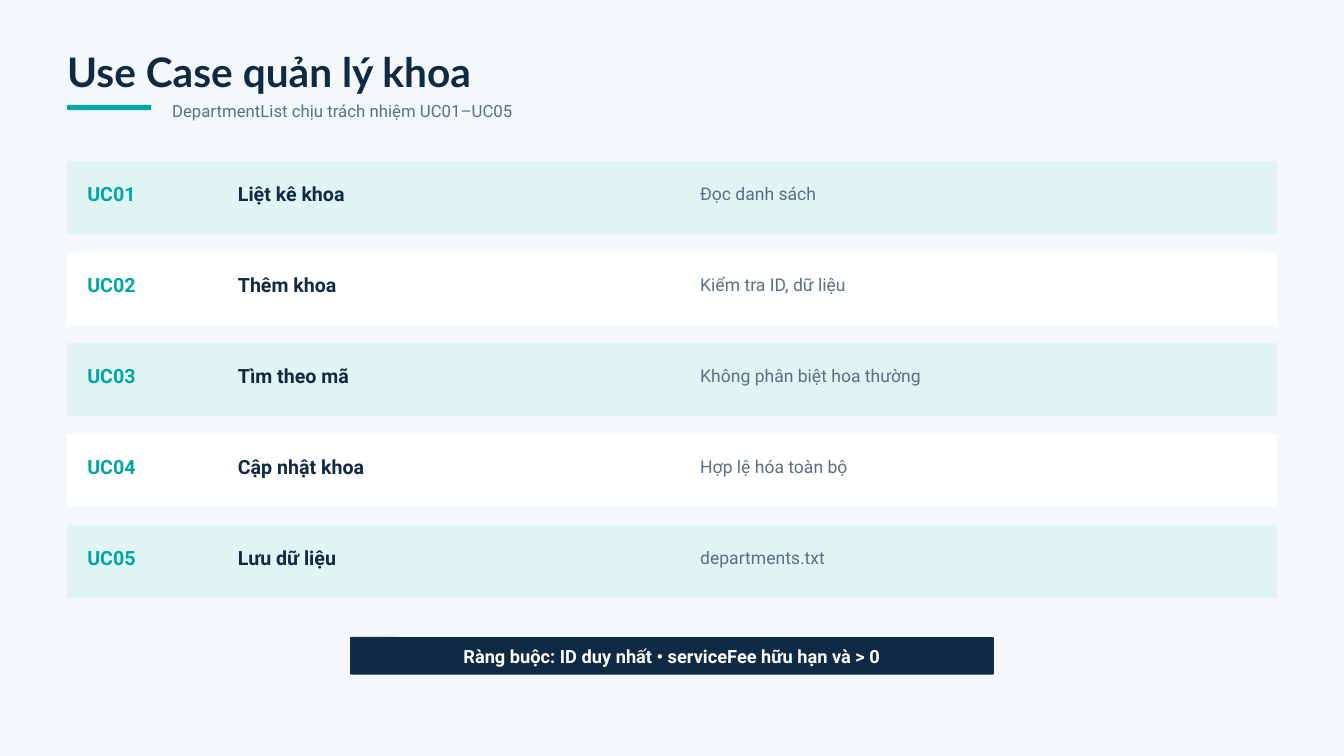
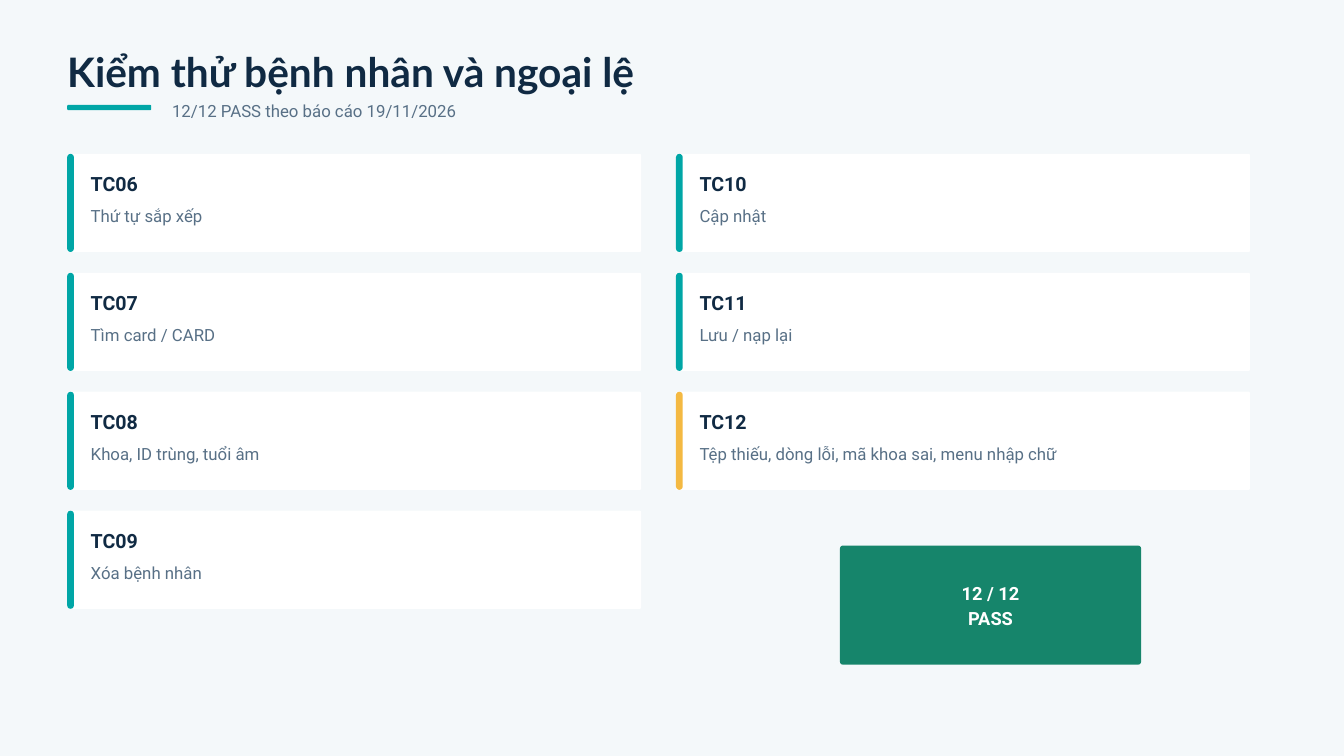
"""Build two slides: the department use cases and the patient test results."""
import dataclasses

import pptx
import pptx.dml.color
import pptx.enum.shapes
import pptx.enum.text
import pptx.shapes.autoshape
import pptx.slide
import pptx.text.text
import pptx.util

Inches = pptx.util.Inches
RGBColor = pptx.dml.color.RGBColor
ALIGN = pptx.enum.text.PP_ALIGN
ANCHOR = pptx.enum.text.MSO_ANCHOR

PAPER = RGBColor(0xF4, 0xF8, 0xFA)
NAVY = RGBColor(0x10, 0x2A, 0x43)
TEAL = RGBColor(0x00, 0xA6, 0xA6)
SLATE = RGBColor(0x58, 0x70, 0x86)
MINT = RGBColor(0xDF, 0xF4, 0xF3)
WHITE = RGBColor(0xFF, 0xFF, 0xFF)
AMBER = RGBColor(0xF4, 0xB9, 0x42)
GREEN = RGBColor(0x16, 0x85, 0x6B)

TITLE_FONT = "Lato"
BODY_FONT = "Roboto"
MARGIN = 1.0
TITLE_ONLY_LAYOUT = 5

ROW_TOP, ROW_PITCH, ROW_WIDTH, ROW_HEIGHT = 2.4, 1.354, 18.0, 1.08
CARD_TOP, CARD_PITCH, CARD_WIDTH, CARD_HEIGHT = 2.29, 1.77, 8.54, 1.46
CARD_COLUMN_PITCH, CARDS_PER_COLUMN = 9.06, 4


@dataclasses.dataclass(frozen=True)
class Area:
    """A rectangle on the slide, in inches."""
    left: float
    top: float
    width: float
    height: float


@dataclasses.dataclass(frozen=True)
class UseCase:
    """One row of the use case list."""
    code: str
    name: str
    rule: str


@dataclasses.dataclass(frozen=True)
class TestCase:
    """One card of the test grid."""
    code: str
    subject: str
    accent: RGBColor = TEAL


USE_CASES = [
    UseCase("UC01", "Liệt kê khoa", "Đọc danh sách"),
    UseCase("UC02", "Thêm khoa", "Kiểm tra ID, dữ liệu"),
    UseCase("UC03", "Tìm theo mã", "Không phân biệt hoa thường"),
    UseCase("UC04", "Cập nhật khoa", "Hợp lệ hóa toàn bộ"),
    UseCase("UC05", "Lưu dữ liệu", "departments.txt"),
]

TEST_CASES = [
    TestCase("TC06", "Thứ tự sắp xếp"),
    TestCase("TC07", "Tìm card / CARD"),
    TestCase("TC08", "Khoa, ID trùng, tuổi âm"),
    TestCase("TC09", "Xóa bệnh nhân"),
    TestCase("TC10", "Cập nhật"),
    TestCase("TC11", "Lưu / nạp lại"),
    TestCase("TC12", "Tệp thiếu, dòng lỗi, mã khoa sai, menu nhập chữ", AMBER),
]


def write_text(frame: pptx.text.text.TextFrame, text: str, *, size: float, leading: float,
               color: RGBColor, bold: bool = False, font: str = BODY_FONT,
               align: ALIGN = ALIGN.LEFT, anchor: ANCHOR = ANCHOR.TOP,
               insets: tuple[float, float, float, float] = (0, 0, 0, 0)) -> None:
    """Fill a text frame, one paragraph for each line of the text."""
    frame.word_wrap = True
    frame.auto_size = pptx.enum.text.MSO_AUTO_SIZE.NONE
    frame.vertical_anchor = anchor
    (frame.margin_left, frame.margin_top,
     frame.margin_right, frame.margin_bottom) = map(Inches, insets)
    frame.text = text
    for para in frame.paragraphs:
        para.alignment = align
        para.line_spacing = pptx.util.Pt(leading)
        span = para.runs[0]
        span.font.name = font
        span.font.size = pptx.util.Pt(size)
        span.font.bold = bold
        span.font.color.rgb = color


def add_label(page: pptx.slide.Slide, area: Area, text: str, *, size: float, leading: float,
              color: RGBColor = SLATE, bold: bool = False) -> None:
    """Add a text box without insets."""
    box = page.shapes.add_textbox(Inches(area.left), Inches(area.top),
                                  Inches(area.width), Inches(area.height))
    write_text(box.text_frame, text, size=size, leading=leading, color=color, bold=bold)


def add_heading(page: pptx.slide.Slide, area: Area, text: str, color: RGBColor = NAVY) -> None:
    """Add the bold label that names a row or card."""
    add_label(page, area, text, size=21, leading=26.2, color=color, bold=True)


def add_panel(page: pptx.slide.Slide, area: Area, fill: RGBColor,
              radius: float) -> pptx.shapes.autoshape.Shape:
    """Add a plain rectangle with rounded corners."""
    panel = page.shapes.add_shape(pptx.enum.shapes.MSO_SHAPE.ROUNDED_RECTANGLE,
                                  Inches(area.left), Inches(area.top),
                                  Inches(area.width), Inches(area.height))
    panel.adjustments[0] = radius / min(area.width, area.height)
    panel.shadow.inherit = False
    panel.fill.solid()
    panel.fill.fore_color.rgb = fill
    panel.line.fill.background()
    return panel


def add_badge(page: pptx.slide.Slide, area: Area, text: str, fill: RGBColor,
              radius: float) -> None:
    """Add a filled panel with centred white text."""
    badge = add_panel(page, area, fill, radius)
    write_text(badge.text_frame, text, size=19.5, leading=27.3, color=WHITE, bold=True,
               align=ALIGN.CENTER, anchor=ANCHOR.MIDDLE, insets=(0.06, 0.06, 0.06, 0.09))


def add_page(deck: pptx.presentation.Presentation, title: str,
             subtitle: str) -> pptx.slide.Slide:
    """Add a slide with the shared title, accent bar and subtitle."""
    page = deck.slides.add_slide(deck.slide_layouts[TITLE_ONLY_LAYOUT])
    heading = page.shapes.title
    heading.left, heading.top = Inches(MARGIN), Inches(0.67)
    heading.width, heading.height = Inches(15.62), Inches(0.74)
    write_text(heading.text_frame, title, size=43.5, leading=54.4, color=NAVY,
               bold=True, font=TITLE_FONT)
    add_panel(page, Area(MARGIN, 1.56, 1.25, 0.08), TEAL, 0.02)
    add_label(page, Area(2.56, 1.48, 15.62, 0.31), subtitle, size=18, leading=22.5)
    return page


def add_use_case(page: pptx.slide.Slide, index: int, case: UseCase) -> None:
    """Draw one use case as a row of the striped list."""
    top = ROW_TOP + index * ROW_PITCH
    stripe = WHITE if index % 2 else MINT
    add_panel(page, Area(MARGIN, top, ROW_WIDTH, ROW_HEIGHT), stripe, 0.01)
    add_heading(page, Area(1.3, top + 0.3, 1.88, 0.37), case.code, TEAL)
    add_heading(page, Area(3.54, top + 0.3, 6.25, 0.37), case.name)
    add_label(page, Area(10.42, top + 0.31, 7.6, 0.31), case.rule, size=18.8, leading=23.4)


def add_test_case(page: pptx.slide.Slide, index: int, case: TestCase) -> None:
    """Draw one test case as a card, filling the grid column by column."""
    column, row = divmod(index, CARDS_PER_COLUMN)
    left = MARGIN + column * CARD_COLUMN_PITCH
    top = CARD_TOP + row * CARD_PITCH
    add_panel(page, Area(left, top, CARD_WIDTH, CARD_HEIGHT), WHITE, 0.02)
    add_panel(page, Area(left, top, 0.1, CARD_HEIGHT), case.accent, 0.05)
    add_heading(page, Area(left + 0.35, top + 0.26, 7.88, 0.37), case.code)
    add_label(page, Area(left + 0.35, top + 0.76, 7.88, 0.31), case.subject,
              size=18, leading=22.5)


def build_use_cases(deck: pptx.presentation.Presentation) -> None:
    """Build the slide of department use cases."""
    page = add_page(deck, "Use Case quản lý khoa", "DepartmentList chịu trách nhiệm UC01–UC05")
    for index, case in enumerate(USE_CASES):
        add_use_case(page, index, case)
    add_badge(page, Area(5.21, 9.48, 9.58, 0.56),
              "Ràng buộc: ID duy nhất • serviceFee hữu hạn và > 0", NAVY, 0.02)


def build_test_cases(deck: pptx.presentation.Presentation) -> None:
    """Build the slide of patient and exception tests."""
    page = add_page(deck, "Kiểm thử bệnh nhân và ngoại lệ", "12/12 PASS theo báo cáo 19/11/2026")
    for index, case in enumerate(TEST_CASES):
        add_test_case(page, index, case)
    add_badge(page, Area(12.5, 8.12, 4.48, 1.77), "12 / 12\nPASS", GREEN, 0.04)


def main() -> None:
    """Build and save the deck."""
    deck = pptx.Presentation()
    deck.slide_width, deck.slide_height = Inches(20), Inches(11.25)
    backdrop = deck.slide_master.background.fill
    backdrop.solid()
    backdrop.fore_color.rgb = PAPER
    build_use_cases(deck)
    build_test_cases(deck)
    deck.save("out.pptx")


if __name__ == "__main__":
    main()
